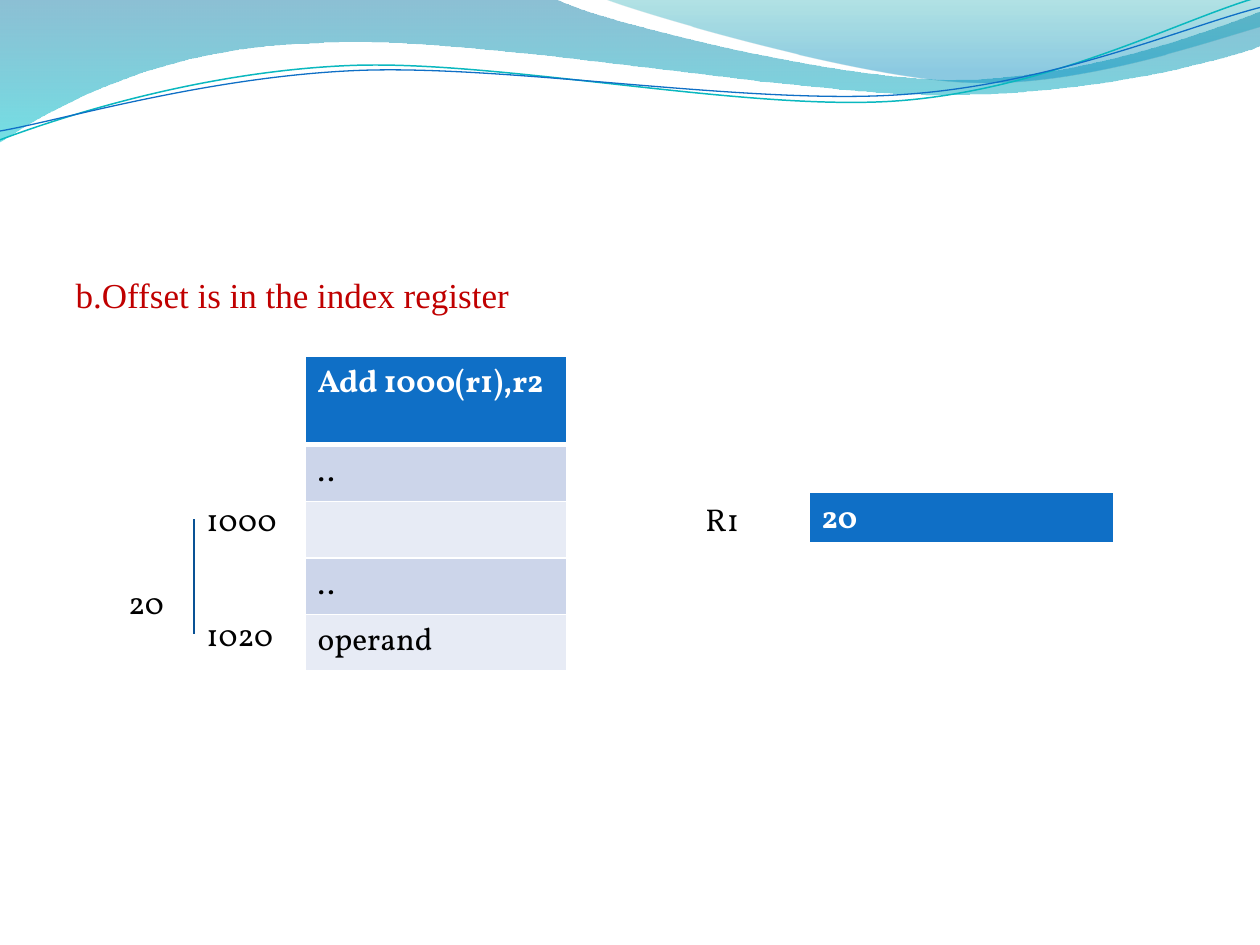
from dataclasses import dataclass
from math import cos, radians, sin
from typing import Any, Optional

from lxml import etree
from pptx import Presentation
from pptx.dml.color import RGBColor
from pptx.enum.shapes import MSO_CONNECTOR
from pptx.enum.text import MSO_AUTO_SIZE
from pptx.oxml.ns import qn
from pptx.util import Inches, Pt

STRAIGHT = MSO_CONNECTOR.STRAIGHT
GROW = MSO_AUTO_SIZE.SHAPE_TO_FIT_TEXT
TITLE_AND_CONTENT = 1
TILT = 2.7
FONT = "Vollkorn"
BLUE, WHITE, BLACK = "0F6FC6", "FFFFFF", "000000"
DARK_BAND, LIGHT_BAND = "CCD5EA", "E7EBF5"

Point = tuple[float, float]


@dataclass
class Stop:
    position: float
    color: str
    opacity: int


@dataclass
class Wave:
    """A start point, then steps of one point (line) or three (Bezier curve)."""
    start: Point
    steps: list[list[Point]]
    stops: tuple[Stop, ...] = ()
    line: Optional[tuple[str, float]] = None
    pivot: Optional[Point] = None


@dataclass
class Label:
    text: str
    left: float
    top: float
    width: float
    wrap: bool = True


@dataclass
class Row:
    text: str
    height: float
    fill: str
    header: bool = False
    margin_bottom: float = 0.05


WAVES = [
    Wave((0, 0), [
        [(4.4, -0.01)],
        [(4.76, 0.17), (6.64, 0.63), (7.58, 0.63)],
        [(8.53, 0.63), (9.58, 0.26), (10, 0.09)],
        [(10.01, 0.36)],
        [(9.83, 0.44), (8.7, 0.76), (7.46, 0.75)],
        [(6.22, 0.75), (3.82, 0.28), (2.57, 0.34)],
        [(1.29, 0.36), (0.46, 0.83), (-0.01, 1.13)],
        [(0, 0)],
    ], stops=(Stop(0, "0074A1", 45), Stop(1, "00C6CF", 55))),
    Wave((4.79, -0.01), [
        [(5.09, 0.11), (6.82, 0.62), (7.69, 0.65)],
        [(8.56, 0.69), (9.61, 0.32), (10, 0.21)],
        [(10, 0)],
        [(4.79, -0.01)],
    ], stops=(Stop(0, "00A1A9", 30), Stop(0.8, "008BBF", 45))),
    Wave((0, 1.11), [
        [(0.48, 0.93), (1.58, 0.57), (2.77, 0.52)],
        [(3.95, 0.47), (5.93, 0.89), (7.13, 0.8)],
        [(8.33, 0.71), (9.38, 0.15), (9.98, -0.02)],
    ], line=("0AB8BF", 0.85), pivot=(4.99, 0.58)),
    Wave((0, 1.04), [
        [(0.47, 0.96), (1.64, 0.61), (2.83, 0.56)],
        [(4.03, 0.51), (5.97, 0.84), (7.17, 0.75)],
        [(8.36, 0.67), (9.41, 0.21), (10, 0.06)],
    ], line=(BLUE, 0.75), pivot=(5, 0.59)),
]
LABELS = [
    Label("1000", 1.54, 3.92, 0.88),
    Label("1020", 1.54, 4.83, 0.88),
    Label("20", 0.92, 4.58, 0.48, wrap=False),
    Label("R1", 5.5, 3.92, 0.58),
]
MEMORY = [
    Row("Add 1000(r1),r2", 0.7, BLUE, header=True),
    Row("..", 0.41, DARK_BAND),
    Row("", 0.41, LIGHT_BAND),
    Row("..", 0.41, DARK_BAND),
    Row("operand", 0.41, LIGHT_BAND),
]
REGISTER = [Row("20", 0.41, BLUE, header=True, margin_bottom=0.01)]


def rgb(color: str) -> RGBColor:
    return RGBColor.from_string(color)


def write(para: Any, text: str, color: str, **formats: Any) -> None:
    span = para.add_run()
    span.text = text
    for name, value in ({"name": FONT, "size": Pt(18)} | formats).items():
        setattr(span.font, name, value)
    span.font.color.rgb = rgb(color)


def turn(point: Point, pivot: Optional[Point]) -> Point:
    """Turn a point clockwise by the tilt, which the shape rotation takes back."""
    if pivot is None:
        return point
    dx, dy = point[0] - pivot[0], point[1] - pivot[1]
    c, s = cos(radians(TILT)), sin(radians(TILT))
    return pivot[0] + dx * c - dy * s, pivot[1] + dx * s + dy * c


def bend(shape: Any, steps: list[list[Point]]) -> None:
    """Join each three straight segments of a curve step into one Bezier segment."""
    segments = iter(list(shape._element.iter(qn("a:lnTo"))))
    for step in steps:
        group = [next(segments) for _ in step]
        if len(group) == 3:
            arc = etree.Element(qn("a:cubicBezTo"))
            group[0].addprevious(arc)
            for segment in group:
                arc.append(segment[0])
                segment.getparent().remove(segment)


def draw_wave(page: Any, wave: Wave) -> None:
    points = [wave.start] + [point for step in wave.steps for point in step]
    turned = [turn(point, wave.pivot) for point in points]
    scaled = [(Inches(x), Inches(y)) for x, y in turned]
    builder = page.shapes.build_freeform(*scaled[0])
    builder.add_line_segments(scaled[1:], close=bool(wave.stops))
    shape = builder.convert_to_shape()
    bend(shape, wave.steps)
    shape.shadow.inherit = False
    if wave.line:
        shape.rotation = 360 - TILT
        shape.fill.background()
        shape.line.color.rgb = rgb(wave.line[0])
        shape.line.width = Pt(wave.line[1])
        return
    shape.line.fill.background()
    shape.fill.gradient()
    shape.fill.gradient_angle = 270
    for target, stop in zip(shape.fill.gradient_stops, wave.stops):
        target.position = stop.position
        target.color.rgb = rgb(stop.color)
    for node, stop in zip(shape._element.iter(qn("a:srgbClr")), wave.stops):
        etree.SubElement(node, qn("a:alpha"), val=str(stop.opacity * 1000))


def draw_label(page: Any, label: Label) -> None:
    box = page.shapes.add_textbox(
        Inches(label.left), Inches(label.top), Inches(label.width), Inches(0.4))
    box.text_frame.word_wrap = label.wrap
    box.text_frame.auto_size = GROW
    write(box.text_frame.paragraphs[0], label.text, BLACK)


def set_borders(cell: Any, widths: dict[str, int]) -> None:
    properties = cell._tc.get_or_add_tcPr()
    for side, width in widths.items():
        line = etree.SubElement(properties, qn(f"a:ln{side}"), w=str(Pt(width)))
        fill = etree.SubElement(line, qn("a:solidFill"))
        etree.SubElement(fill, qn("a:srgbClr"), val=WHITE)


def draw_table(page: Any, left: float, top: float, width: float, rows: list[Row]) -> None:
    height = sum(row.height for row in rows)
    table = page.shapes.add_table(
        len(rows), 1, Inches(left), Inches(top), Inches(width), Inches(height)).table
    edge = 1
    for index, row in enumerate(rows):
        table.rows[index].height = Inches(row.height)
        cell = table.cell(index, 0)
        cell.margin_bottom = Inches(row.margin_bottom)
        bottom = 3 if row.header else 1
        set_borders(cell, {"L": 1, "R": 1, "T": edge, "B": bottom})
        edge = bottom
        cell.fill.solid()
        cell.fill.fore_color.rgb = rgb(row.fill)
        para = cell.text_frame.paragraphs[0]
        if row.text:
            write(para, row.text, WHITE if row.header else BLACK, bold=row.header)
        else:
            # An empty cell keeps the line height of the table font
            end = etree.SubElement(para._p, qn("a:endParaRPr"), sz="1800")
            etree.SubElement(end, qn("a:latin"), typeface=FONT)


def main() -> None:
    deck = Presentation()
    deck.slide_width, deck.slide_height = Inches(10), Inches(7.5)
    page = deck.slides.add_slide(deck.slide_layouts[TITLE_AND_CONTENT])
    title = page.shapes.title._element
    title.getparent().remove(title)

    # Header waves
    for wave in WAVES:
        draw_wave(page, wave)

    # Statement
    body = page.placeholders[1]
    body.left, body.top, body.width, body.height = map(Inches, (0.5, 2.12, 9, 4.8))
    para = body.text_frame.paragraphs[0]
    para.space_before = Pt(0)
    properties = para._p.get_or_add_pPr()
    properties.set("marL", "0")
    properties.set("indent", "0")
    etree.SubElement(properties, qn("a:buNone"))
    write(para, "b.Offset is in the index register", "C00000",
          name="Times New Roman", size=Pt(20))

    # Memory, index register and their labels
    draw_table(page, 2.42, 2.83, 2.08, MEMORY)
    draw_table(page, 6.42, 3.91, 2.42, REGISTER)
    for label in LABELS:
        draw_label(page, label)

    # Span of the offset
    span_line = page.shapes.add_connector(
        STRAIGHT, Inches(1.54), Inches(4.12), Inches(1.54), Inches(5.03))
    span_line.line.color.rgb = rgb("095295")
    span_line.line.width = Pt(0.75)
    etree.SubElement(span_line._element.spPr, qn("a:effectLst"))

    deck.save("out.pptx")


if __name__ == "__main__":
    main()
